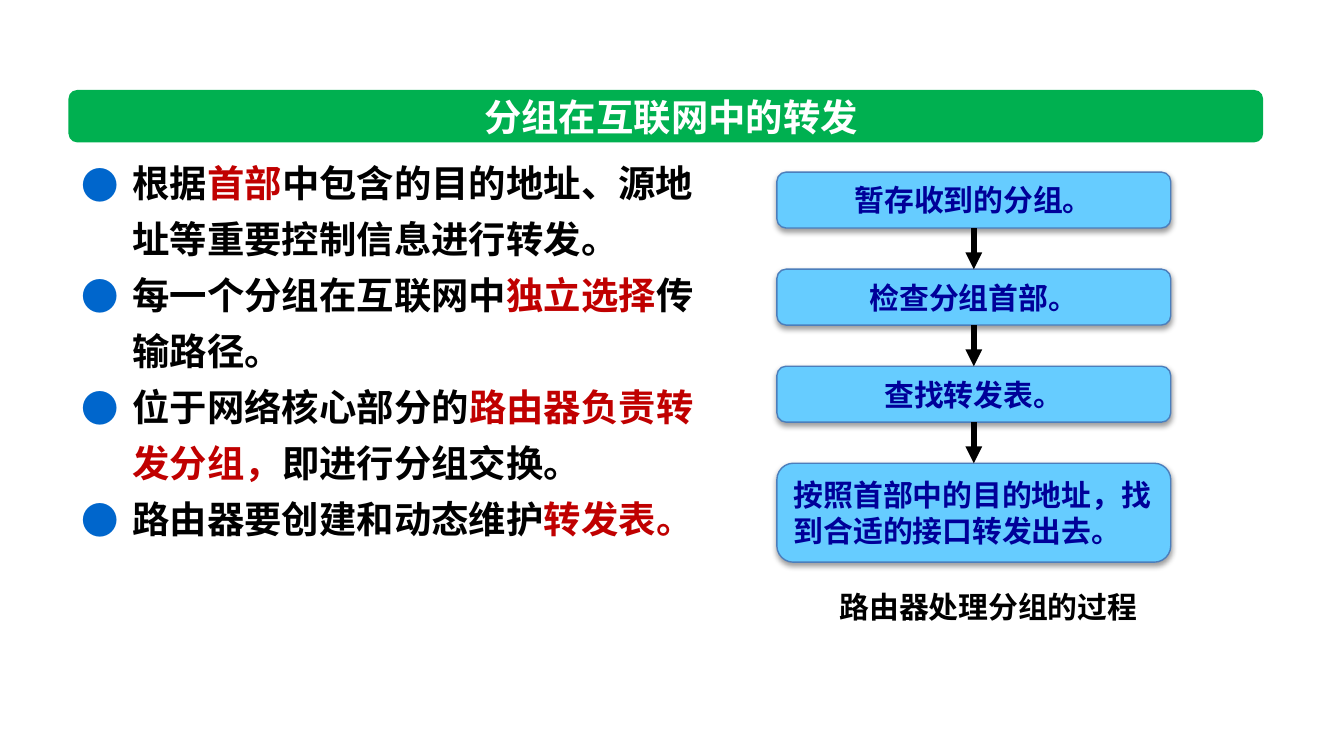
from lxml import etree
from pptx import Presentation
from pptx.dml.color import RGBColor
from pptx.enum.shapes import MSO_CONNECTOR, MSO_SHAPE
from pptx.enum.text import MSO_ANCHOR, MSO_AUTO_SIZE, PP_ALIGN
from pptx.oxml.ns import qn
from pptx.util import Pt

ROUNDED = MSO_SHAPE.ROUNDED_RECTANGLE
STRAIGHT = MSO_CONNECTOR.STRAIGHT
MIDDLE, TOP = MSO_ANCHOR.MIDDLE, MSO_ANCHOR.TOP
LEFT, CENTER = PP_ALIGN.LEFT, PP_ALIGN.CENTER
NO_FIT = MSO_AUTO_SIZE.NONE

FONT = "Noto Sans CJK SC"
BLACK, WHITE, RED, NAVY = "000000", "FFFFFF", "C00000", "000099"
GREEN, SKY, STEEL, BLUE = "00B050", "66CCFF", "4B7EBC", "0066CC"

TITLE = "分组在互联网中的转发"
POINTS = [
    [("根据", BLACK), ("首部", RED), ("中包含的目的地址、源地址等重要控制信息进行转发。", BLACK)],
    [("每一个分组在互联网中", BLACK), ("独立选择", RED), ("传输路径。", BLACK)],
    [("位于网络核心部分的", BLACK), ("路由器负责转发分组，", RED), ("即进行分组交换。", BLACK)],
    [("路由器要创建和动态维护", BLACK), ("转发表。", RED)],
]
STEPS = [
    ("暂存收到的分组。", 30, CENTER),
    ("检查分组首部。", 30, CENTER),
    ("查找转发表。", 30, CENTER),
    ("按照首部中的目的地址，找到合适的接口转发出去。", 53, LEFT),
]
CAPTION = "路由器处理分组的过程"
STEP_LEFT, STEP_TOP, STEP_WIDTH, STEP_GAP = 416.2, 92.2, 211, 22


def rgb(color):
    return RGBColor.from_string(color)


def add_element(parent, tag, **attributes):
    return etree.SubElement(parent, qn(tag), attributes)


def place(shape, left, top, width, height):
    shape.left, shape.top = Pt(left), Pt(top)
    shape.width, shape.height = Pt(width), Pt(height)


def set_font(paragraph, size, color):
    font = paragraph.font
    font.size, font.bold, font.name = Pt(size), True, FONT
    font.color.rgb = rgb(color)
    add_element(font._element, "a:ea", typeface=FONT)


def set_text(shape, text, size, color, align, anchor=MIDDLE):
    frame = shape.text_frame
    frame.word_wrap = True
    frame.auto_size = NO_FIT
    frame.vertical_anchor = anchor
    paragraph = frame.paragraphs[0]
    paragraph.text = text
    paragraph.alignment = align
    paragraph.space_before = Pt(0)
    set_font(paragraph, size, color)


def add_box(slide, left, top, width, height, fill):
    box = slide.shapes.add_shape(ROUNDED, Pt(left), Pt(top), Pt(width), Pt(height))
    box.fill.solid()
    box.fill.fore_color.rgb = rgb(fill)
    box.shadow.inherit = False
    return box


def add_banner(slide):
    banner = add_box(slide, 36.7, 48.2, 640, 28.1, GREEN)
    banner.line.fill.background()
    slide.shapes._spTree.insert(2, banner._element)
    title = slide.shapes.title
    place(title, 98.6, 48.2, 522, 28.1)
    set_text(title, TITLE, 20, WHITE, CENTER)


def add_points(slide):
    body = slide.placeholders[1]
    place(body, 36.7, 76.3, 347, 250)
    frame = body.text_frame
    frame.auto_size = NO_FIT
    frame.vertical_anchor = TOP
    for index, parts in enumerate(POINTS):
        paragraph = frame.paragraphs[0] if index == 0 else frame.add_paragraph()
        paragraph.line_spacing = Pt(30)
        paragraph.space_before = Pt(0)
        properties = paragraph._p.get_or_add_pPr()
        properties.set("marL", str(Pt(27)))
        properties.set("indent", str(Pt(-27)))
        bullet_color = add_element(properties, "a:buClr")
        add_element(bullet_color, "a:srgbClr", val=BLUE)
        add_element(properties, "a:buFont", typeface=FONT)
        add_element(properties, "a:buChar", char="●")
        set_font(paragraph, 20, BLACK)
        for text, color in parts:
            run = paragraph.add_run()
            run.text = text
            if color != BLACK:
                run.font.color.rgb = rgb(color)


def add_step(slide, top, text, height, align):
    step = add_box(slide, STEP_LEFT, top, STEP_WIDTH, height, SKY)
    step.line.color.rgb = rgb(STEEL)
    step.line.width = Pt(0.75)
    effects = step._element.spPr.find(qn("a:effectLst"))
    shadow = add_element(effects, "a:outerShdw", blurRad=str(Pt(3.1)),
                         dist=str(Pt(1.6)), dir="5400000", rotWithShape="0")
    shadow_color = add_element(shadow, "a:srgbClr", val=BLACK)
    add_element(shadow_color, "a:alpha", val="38000")
    set_text(step, text, 16, NAVY, align)
    step.text_frame.margin_left = step.text_frame.margin_right = Pt(6.5)
    return step


def add_arrow(slide, upper, lower):
    arrow = slide.shapes.add_connector(STRAIGHT, 0, 0, 0, 0)
    arrow.begin_connect(upper, 2)
    arrow.end_connect(lower, 0)
    arrow.line.color.rgb = rgb(BLACK)
    arrow.line.width = Pt(3)
    add_element(arrow.line._get_or_add_ln(), "a:tailEnd", type="triangle")
    add_element(arrow._element.spPr, "a:effectLst")


def add_process(slide):
    steps, top = [], STEP_TOP
    for text, height, align in STEPS:
        steps.append(add_step(slide, top, text, height, align))
        top += height + STEP_GAP
    for upper, lower in zip(steps, steps[1:]):
        add_arrow(slide, upper, lower)
    caption = slide.shapes.add_textbox(Pt(441.4), Pt(311.8), Pt(176.4), Pt(26.6))
    set_text(caption, CAPTION, 16, BLACK, CENTER, TOP)


def main():
    deck = Presentation()
    deck.slide_width, deck.slide_height = Pt(720), Pt(405)
    slide = deck.slides.add_slide(deck.slide_layouts[1])
    add_banner(slide)
    add_points(slide)
    add_process(slide)
    deck.save("out.pptx")


if __name__ == "__main__":
    main()
